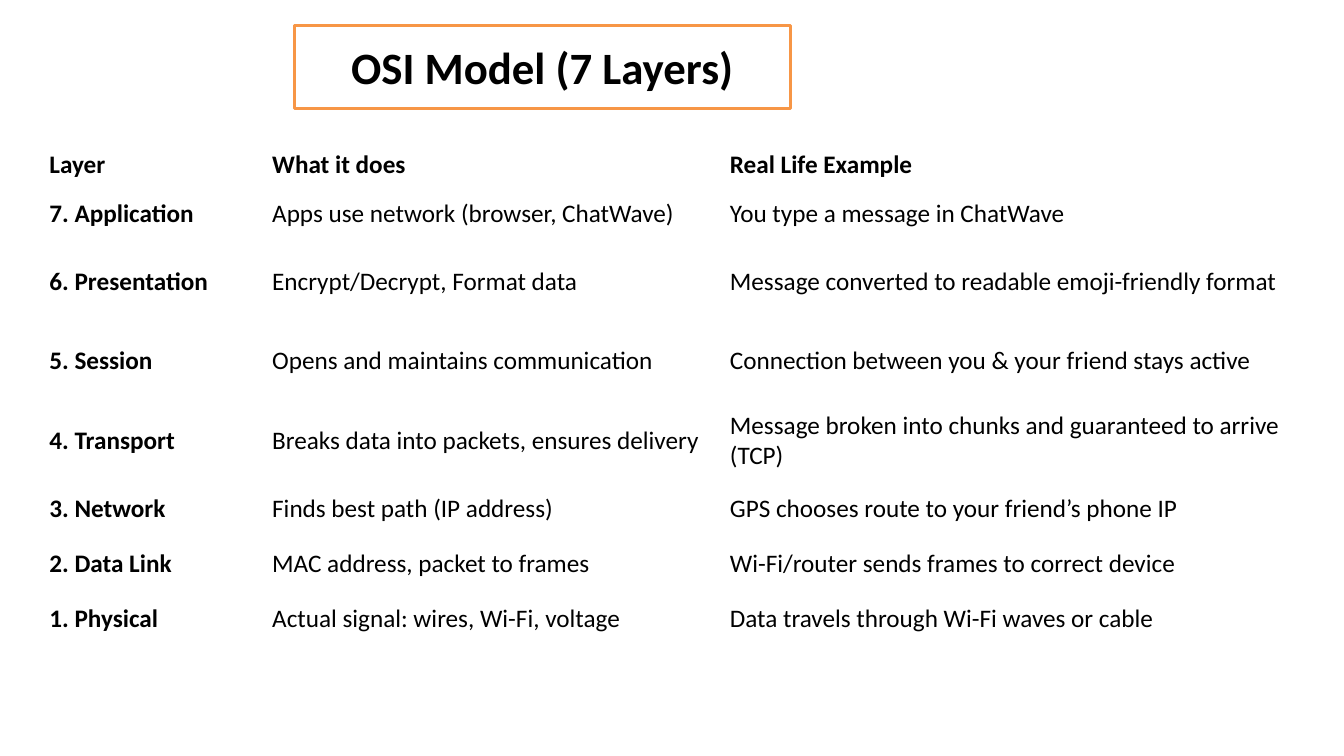
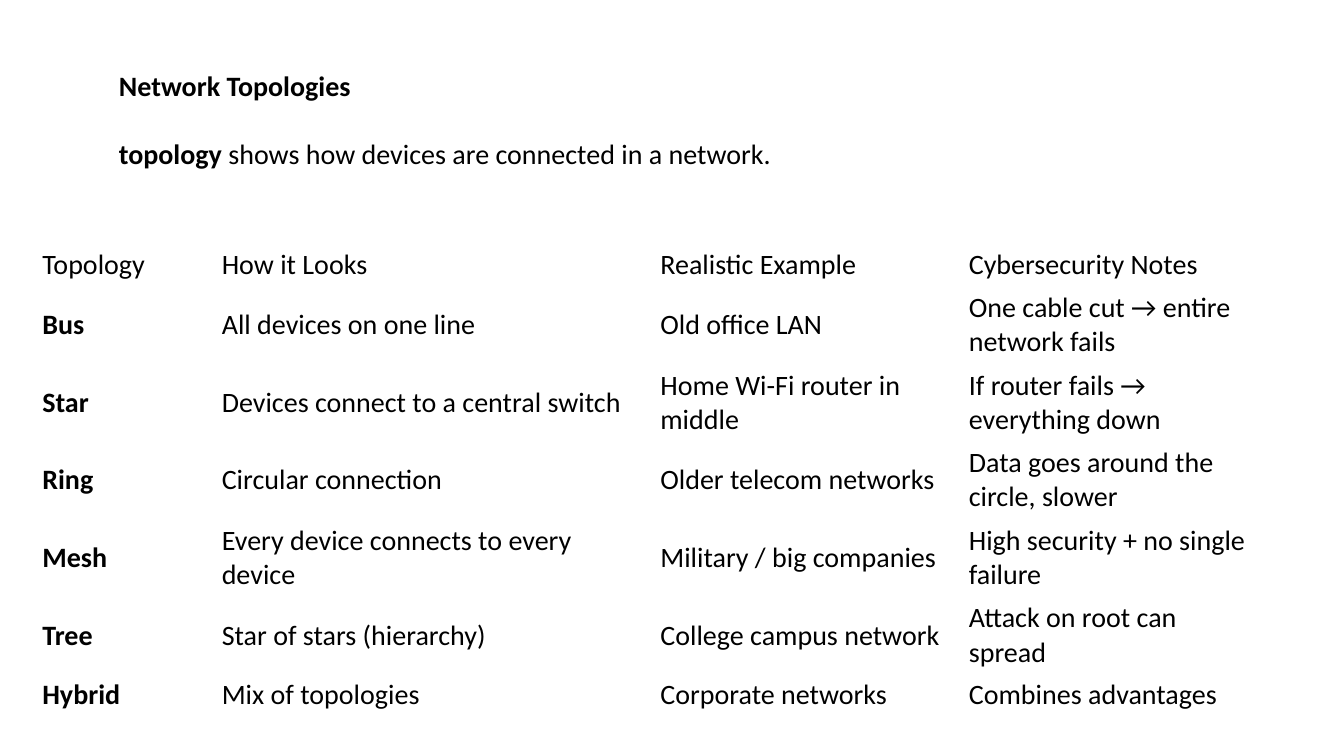
from pptx import Presentation
from pptx.dml.color import RGBColor
from pptx.enum.text import MSO_ANCHOR as Anchor, MSO_AUTO_SIZE as AutoSize, PP_ALIGN as Align
from pptx.util import Inches, Pt

FONT = "Calibri"
BLACK = RGBColor(0x00, 0x00, 0x00)
WHITE = RGBColor(0xFF, 0xFF, 0xFF)
ORANGE = RGBColor(0xF7, 0x96, 0x46)
TITLE_ONLY = 5

OSI_ROWS = [
    ("Layer", "What it does", "Real Life Example"),
    ("7. Application", "Apps use network (browser, ChatWave)", "You type a message in ChatWave"),
    ("6. Presentation", "Encrypt/Decrypt, Format data",
     "Message converted to readable emoji-friendly format"),
    ("5. Session", "Opens and maintains communication",
     "Connection between you & your friend stays active"),
    ("4. Transport", "Breaks data into packets, ensures delivery",
     "Message broken into chunks and guaranteed to arrive (TCP)"),
    ("3. Network", "Finds best path (IP address)", "GPS chooses route to your friend’s phone IP"),
    ("2. Data Link", "MAC address, packet to frames", "Wi-Fi/router sends frames to correct device"),
    ("1. Physical", "Actual signal: wires, Wi-Fi, voltage", "Data travels through Wi-Fi waves or cable"),
]

TOPOLOGY_ROWS = [
    ("Topology", "How it Looks", "Realistic Example", "Cybersecurity Notes"),
    ("Bus", "All devices on one line", "Old office LAN", "One cable cut → entire network fails"),
    ("Star", "Devices connect to a central switch", "Home Wi-Fi router in middle",
     "If router fails → everything down"),
    ("Ring", "Circular connection", "Older telecom networks", "Data goes around the circle, slower"),
    ("Mesh", "Every device connects to every device", "Military / big companies",
     "High security + no single failure"),
    ("Tree", "Star of stars (hierarchy)", "College campus network", "Attack on root can spread"),
    ("Hybrid", "Mix of topologies", "Corporate networks", "Combines advantages"),
]


def add_run(paragraph, text, size, bold=False):
    run = paragraph.add_run()
    run.text = text
    run.font.name = FONT
    run.font.size = Pt(size)
    run.font.bold = bold
    run.font.color.rgb = BLACK


def set_text(shape, runs, size, align):
    """Fill a shape with one line of (text, bold) runs."""
    frame = shape.text_frame
    frame.word_wrap = True
    frame.auto_size = AutoSize.NONE
    frame.vertical_anchor = Anchor.MIDDLE
    paragraph = frame.paragraphs[0]
    paragraph.alignment = align
    for text, bold in runs:
        add_run(paragraph, text, size, bold)


def place_title(slide, box, text, size, align):
    title = slide.shapes.title
    title.left, title.top, title.width, title.height = map(Inches, box)
    set_text(title, [(text, True)], size, align)
    return title


def add_plain_table(slide, left, top, widths, heights, rows, size, insets, bold_header):
    """Table without fills; the first column is bold, the header optionally."""
    table = slide.shapes.add_table(
        len(rows), len(widths), Inches(left), Inches(top),
        Inches(sum(widths)), Inches(sum(heights))).table
    table.first_row = table.horz_banding = False
    for column, width in zip(table.columns, widths):
        column.width = Inches(width)
    side, edge = map(Inches, insets)
    for row_index, (row, height, texts) in enumerate(zip(table.rows, heights, rows)):
        row.height = Inches(height)
        for column_index, (cell, text) in enumerate(zip(row.cells, texts)):
            cell.fill.background()
            cell.vertical_anchor = Anchor.MIDDLE
            cell.margin_left = cell.margin_right = side
            cell.margin_top = cell.margin_bottom = edge
            bold = bold_header if row_index == 0 else column_index == 0
            add_run(cell.text_frame.paragraphs[0], text, size, bold)


def build_osi_slide(slide):
    add_plain_table(slide, 0.42, 1.42, [2.21, 4.54, 5.75],
                    [0.43, 0.55] + [0.79] * 3 + [0.55] * 3,
                    OSI_ROWS, 18, (0.07, 0.03), bold_header=True)
    # Framed title
    title = place_title(slide, (2.92, 0.25, 4.92, 0.83), "OSI Model (7 Layers)", 32, Align.CENTER)
    title.fill.solid()
    title.fill.fore_color.rgb = WHITE
    title.line.color.rgb = ORANGE
    title.line.width = Pt(2)


def build_topology_slide(slide):
    left, top, width, line_height, step = 1.08, 0.61, 9.42, 0.48, 0.67
    # Heading and definition
    place_title(slide, (left, top, width, line_height), "Network Topologies", 20, Align.LEFT)
    definition = slide.shapes.add_textbox(
        Inches(left), Inches(top + step), Inches(width), Inches(line_height))
    set_text(definition, [("topology", True),
                          (" shows how devices are connected in a network.", False)], 20, Align.LEFT)
    # Comparison table
    add_plain_table(slide, 0.33, 2.42, [1.78, 4.35, 3.06, 3.06],
                    [0.42] + [0.77] * 5 + [0.42],
                    TOPOLOGY_ROWS, 20, (0.09, 0.04), bold_header=False)


def main():
    presentation = Presentation()
    presentation.slide_width = Inches(13.33)
    presentation.slide_height = Inches(7.5)
    for build in (build_osi_slide, build_topology_slide):
        build(presentation.slides.add_slide(presentation.slide_layouts[TITLE_ONLY]))
    presentation.save("out.pptx")


if __name__ == "__main__":
    main()
